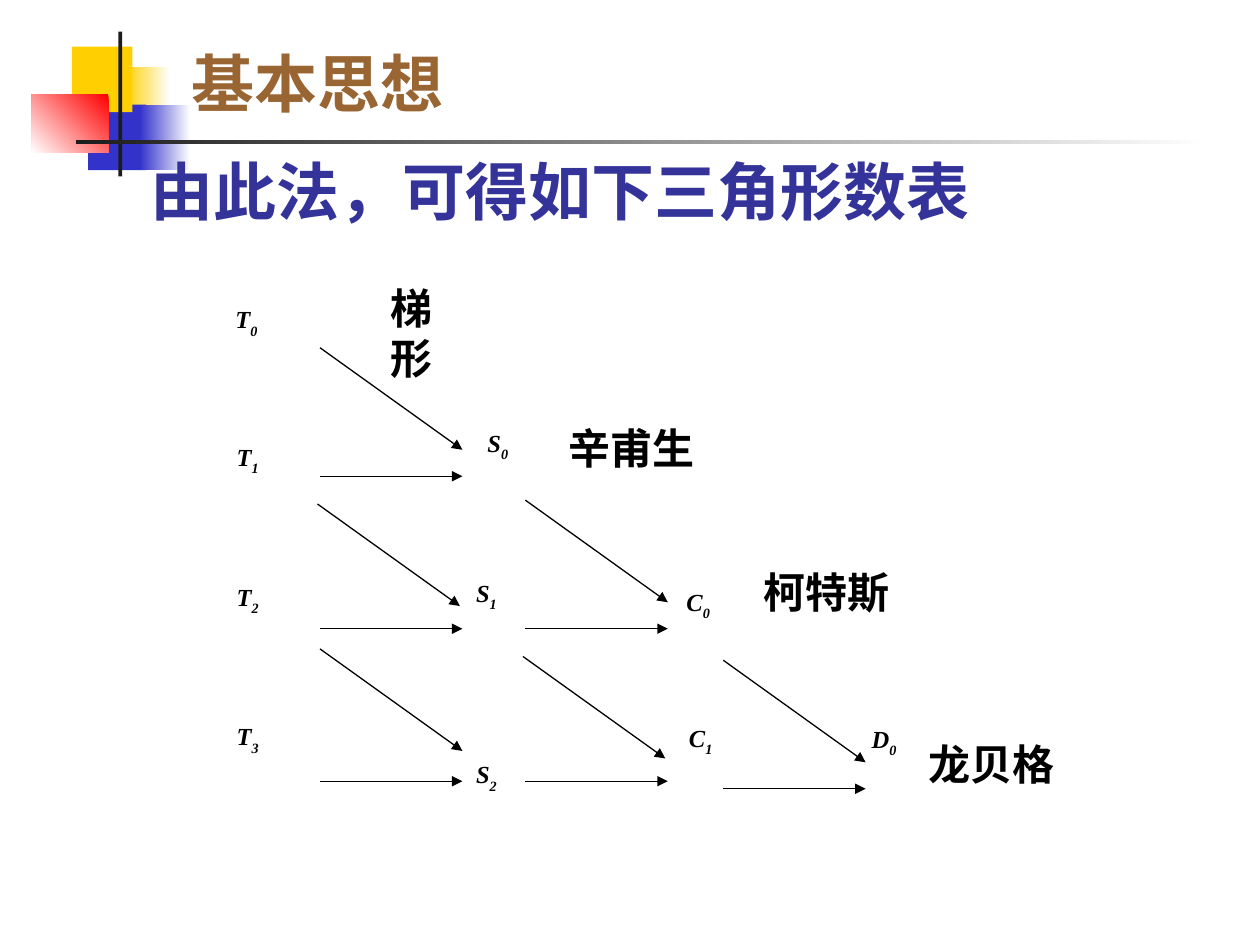
from dataclasses import dataclass

from lxml import etree
from pptx import Presentation
from pptx import util as u
from pptx.dml.color import RGBColor
from pptx.enum import shapes, text
from pptx.oxml.ns import qn

SCALE = 9144  # EMU in one px, 100 px to the inch


@dataclass(frozen=True)
class Theme:
    white: str = "FFFFFF"
    black: str = "000000"
    yellow: str = "FFCF01"
    blue: str = "3333CC"
    red: str = "FF0000"
    ink: str = "1C1C1C"
    title: str = "996633"
    lead: str = "333399"
    title_font: str = "Cabin"
    body_font: str = "Times New Roman"
    heading_size: int = 36
    method_size: int = 24
    symbol_size: int = 14
    line_width: float = 0.75


THEME = Theme()


def px(*lengths):
    return [u.Emu(length * SCALE) for length in lengths]


def inside(box, left, top, *size):
    """Lengths in EMU for a part placed relative to the box."""
    return px(box[0] + left, box[1] + top, *size)


def apply(target, values):
    for name, value in values.items():
        setattr(target, name, value)


def set_frame(frame, margins, **values):
    sides = ("margin_left", "margin_top", "margin_right", "margin_bottom")
    apply(frame, dict(zip(sides, px(*margins))))
    apply(frame, {"word_wrap": True, "auto_size": text.MSO_AUTO_SIZE.NONE, **values})


def add_span(para, words, size, color, font=THEME.body_font, **values):
    span = para.add_run()
    span.text = words
    apply(span.font, {"name": font, "size": u.Pt(size), "bold": True, **values})
    span.font.color.rgb = RGBColor.from_string(color)
    return span


def add_block(parts, place, color, fade=None):
    """Rectangle in one colour, or fading from fade[0] to fade[1] at the angle fade[2]."""
    block = parts.add_shape(shapes.MSO_SHAPE.RECTANGLE, *place)
    block.shadow.inherit = False
    block.line.fill.background()
    if fade:
        first, last, angle = fade
        block.fill.gradient()
        block.fill.gradient_angle = 360 - angle
        for stop, shade in zip(block.fill.gradient_stops, (first, last)):
            stop.color.rgb = RGBColor.from_string(shade)
    else:
        block.fill.solid()
        block.fill.fore_color.rgb = RGBColor.from_string(color)


def add_arrow(parts, start, end):
    arrow = parts.add_connector(shapes.MSO_CONNECTOR.STRAIGHT, *start, *end)
    arrow.line.width = u.Pt(THEME.line_width)
    arrow.line.color.rgb = RGBColor.from_string(THEME.black)
    properties = arrow.line._get_or_add_ln()
    etree.SubElement(properties, qn("a:tailEnd"), type="triangle")
    etree.SubElement(properties.getparent(), qn("a:effectLst"))


def add_decoration(page, box):
    parts = page.shapes.add_group_shape().shapes
    to_left = 180
    blocks = [
        (74, 28, 36, 52, None, (THEME.white, THEME.yellow, to_left)),
        (45, 58, 46, 52, THEME.blue, None),
        (32, 12, 48, 52, THEME.yellow, None),
        (86, 58, 40, 52, None, (THEME.white, THEME.blue, to_left)),
        (0, 50, 61, 46, None, (THEME.red, THEME.white, 135)),
        (69, 0, 3, 115, THEME.ink, None),
        (35, 86, 900, 3, None, (THEME.white, THEME.ink, to_left)),
    ]
    for *place, color, fade in blocks:
        add_block(parts, inside(box, *place), color, fade)


def add_title(page, box, words):
    title = page.shapes.title
    apply(title, dict(zip(("left", "top", "width", "height"), px(*box))))
    set_frame(title.text_frame, (10, 5, 10, 5), vertical_anchor=text.MSO_ANCHOR.BOTTOM)
    para = title.text_frame.paragraphs[0]
    para.alignment = text.PP_ALIGN.LEFT
    add_span(para, words, THEME.heading_size, THEME.title, THEME.title_font)


def add_lead(page, box, words):
    frame = page.shapes.add_textbox(*px(*box)).text_frame
    set_frame(frame, (10, 5, 10, 5), word_wrap=False)
    add_span(frame.paragraphs[0], words, THEME.heading_size, THEME.lead)


def add_method(parts, place, words):
    frame = parts.add_textbox(*place).text_frame
    set_frame(frame, (0, 6, 0, 0))
    para = frame.paragraphs[0]
    para.alignment = text.PP_ALIGN.JUSTIFY
    add_span(para, words, THEME.method_size, THEME.black)


def add_symbol(parts, place, letter, index):
    frame = parts.add_textbox(*place).text_frame
    set_frame(frame, (10, 5, 10, 5), vertical_anchor=text.MSO_ANCHOR.BOTTOM)
    para = frame.paragraphs[0]
    for words in (letter, str(index)):
        span = add_span(para, words, THEME.symbol_size, THEME.black, italic=True)
    span.font._element.set("baseline", "-30000")


def add_triangle(page, box):
    """Triangular table: each column of symbols feeds the next through arrows."""
    parts = page.shapes.add_group_shape().shapes
    run, drop = 113, 81
    flat_starts = [(77, 160 + 121 * row) for row in range(3)]
    flat_starts += [(240, 281), (240, 402), (397, 408)]
    slanted_starts = [(77, 58), (75, 182), (77, 297), (240, 179), (238, 303), (397, 306)]
    for starts, fall in ((flat_starts, 0), (slanted_starts, drop)):
        for left, top in starts:
            add_arrow(parts, inside(box, left, top), inside(box, left + run, top + fall))

    methods = [
        ("梯形", 133, 0, 57),
        ("辛甫生", 274, 111, 116),
        ("柯特斯", 429, 226, 115),
        ("龙贝格", 560, 362, 115),
    ]
    for words, left, top, width in methods:
        add_method(parts, inside(box, left, top, width, 80), words)

    symbols = {
        "T": [(0, 19, 68, 37)] + [(1, 128 + 111 * row, 67, 37) for row in range(3)],
        "S": [(200, 102, 45, 52), (191, 221, 45, 52), (191, 379, 53, 38)],
        "C": [(358, 242, 43, 38), (360, 350, 43, 38)],
        "D": [(505, 351, 96, 38)],
    }
    for letter, places in symbols.items():
        for index, place in enumerate(places):
            add_symbol(parts, inside(box, *place), letter, index)


def main():
    deck = Presentation()
    deck.slide_width, deck.slide_height = px(1000, 750)
    title_only = deck.slide_layouts[5]
    page = deck.slides.add_slide(title_only)
    add_decoration(page, (25, 25))
    add_title(page, (142, 50, 783, 50), "基本思想")
    add_lead(page, (110, 116, 670, 70), "由此法，可得如下三角形数表")
    add_triangle(page, (177, 218))
    deck.save("out.pptx")


if __name__ == "__main__":
    main()
